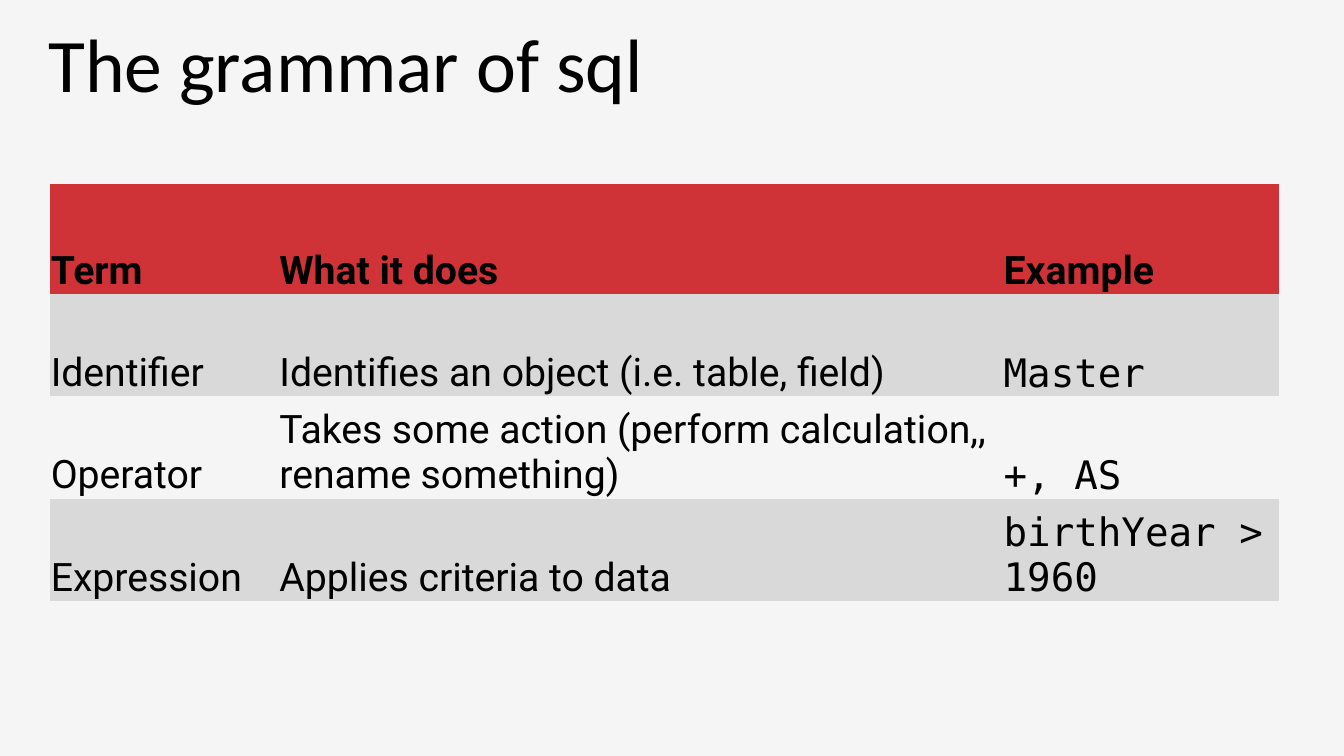
from dataclasses import dataclass
from typing import Optional

import pptx
import pptx.dml.color
import pptx.enum.text
import pptx.oxml.ns
import pptx.util

Pt = pptx.util.Pt

BLACK, RED, GREY, BACKGROUND = "000000", "CF3338", "D9D9D9", "F5F5F5"
BODY_FONT, CODE_FONT = "Roboto", "DejaVu Sans Mono"
COLUMN_WIDTHS = (163.3, 517.4, 197)
NO_STYLE_NO_GRID = "{2D5ABB26-0587-4C30-8999-92F81FD0307C}"


@dataclass
class GrammarRow:
    texts: tuple[str, str, str]
    height: float = 73
    fill: Optional[str] = None
    example_font: str = CODE_FONT
    bold: bool = False


GRAMMAR_ROWS = [
    GrammarRow(("Term", "What it does", "Example"), height=79,
               fill=RED, example_font=BODY_FONT, bold=True),
    GrammarRow(("Identifier", "Identifies an object (i.e. table, field)", "Master"),
               fill=GREY),
    GrammarRow(("Operator", "Takes some action (perform calculation,, rename something)",
                "+, AS")),
    GrammarRow(("Expression", "Applies criteria to data", "birthYear > 1960"),
               fill=GREY),
]


def set_color(color_owner, color: str) -> None:
    """Colour a font or a fill with a hex string."""
    fill = getattr(color_owner, "fill", color_owner)
    fill.solid()
    fill.fore_color.rgb = pptx.dml.color.RGBColor.from_string(color)


def write_text(text_frame, text: str, *, size: float, font: str,
               color: str = BLACK, bold: bool = False) -> None:
    text_frame.word_wrap = True
    run = text_frame.paragraphs[0].add_run()
    run.text = text
    run.font.size = Pt(size)
    run.font.name = font
    run.font.bold = bold
    set_color(run.font, color)


def add_title(slide, text: str) -> None:
    title = slide.shapes.add_textbox(Pt(27.4), Pt(8.6), Pt(901.4), Pt(72.7))
    title.text_frame.auto_size = pptx.enum.text.MSO_AUTO_SIZE.SHAPE_TO_FIT_TEXT
    write_text(title.text_frame, text, size=54, font="Calibri")


def fill_cell(cell, text: str, font: str, row: GrammarRow) -> None:
    cell.margin_left = cell.margin_right = cell.margin_top = Pt(0.7)
    cell.margin_bottom = Pt(0)
    cell.vertical_anchor = pptx.enum.text.MSO_ANCHOR.BOTTOM
    if row.fill:
        set_color(cell.fill, row.fill)
    else:
        cell.fill.background()
    write_text(cell.text_frame, text, size=28, font=font, bold=row.bold)


def add_grammar_table(slide, rows: list[GrammarRow]) -> None:
    frame = slide.shapes.add_table(
        len(rows), len(COLUMN_WIDTHS), Pt(35.6), Pt(131.2),
        Pt(sum(COLUMN_WIDTHS)), Pt(sum(row.height for row in rows)))
    table = frame.table
    table.horz_banding = False
    style = table._tbl.tblPr.find(pptx.oxml.ns.qn("a:tableStyleId"))
    style.text = NO_STYLE_NO_GRID
    for column, width in zip(table.columns, COLUMN_WIDTHS):
        column.width = Pt(width)
    for table_row, row in zip(table.rows, rows):
        table_row.height = Pt(row.height)
        fonts = (BODY_FONT, BODY_FONT, row.example_font)
        for cell, text, font in zip(table_row.cells, row.texts, fonts):
            fill_cell(cell, text, font, row)


def main() -> None:
    presentation = pptx.Presentation()
    presentation.slide_width, presentation.slide_height = Pt(960), Pt(540)
    slide = presentation.slides.add_slide(presentation.slide_layouts[6])
    set_color(slide.background, BACKGROUND)
    add_title(slide, "The grammar of sql")
    add_grammar_table(slide, GRAMMAR_ROWS)
    presentation.save("out.pptx")


if __name__ == "__main__":
    main()
